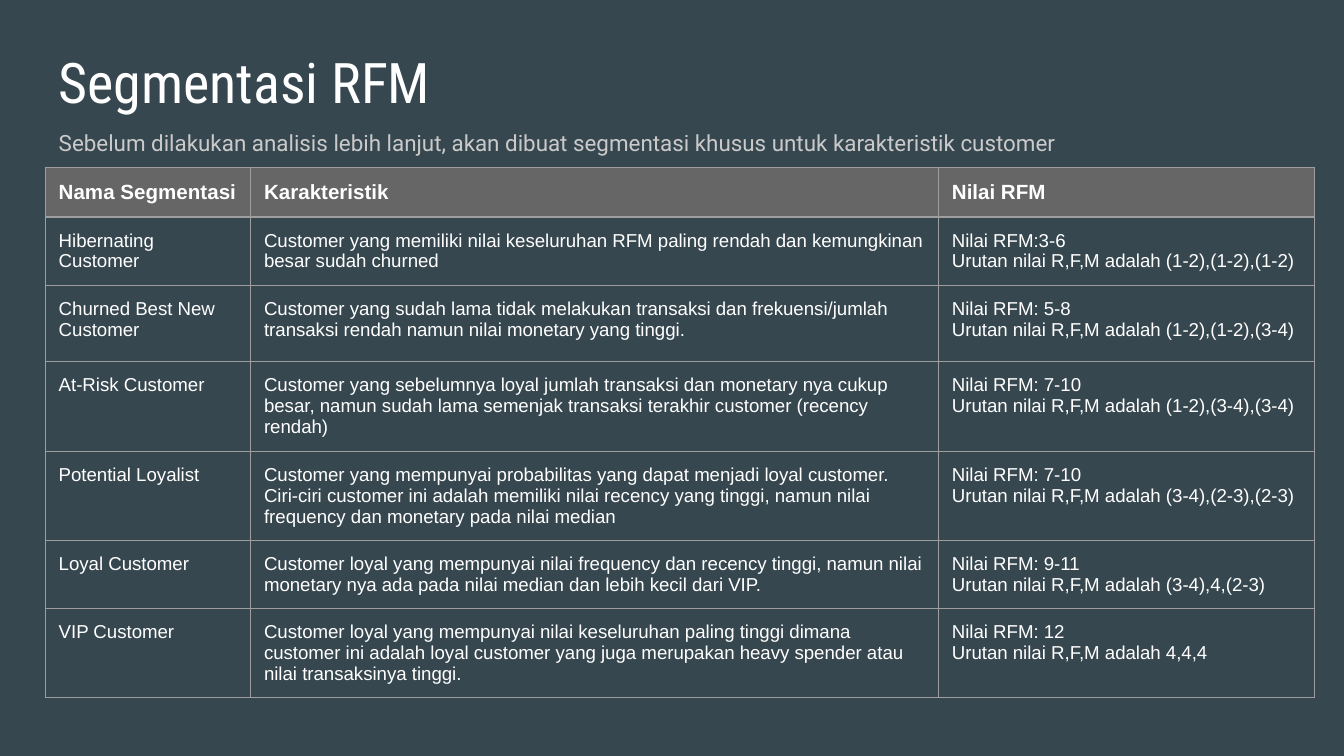
from dataclasses import dataclass

import pptx
import pptx.dml.color
import pptx.enum.text
import pptx.oxml
import pptx.oxml.ns
import pptx.util
from pptx.util import Cm


@dataclass(frozen=True)
class Theme:
    background: str = "37474F"
    text: str = "FFFFFF"
    subtitle: str = "CACACA"
    header_fill: str = "666666"
    border: str = "9E9E9E"
    title_size: int = 30
    subtitle_size: int = 12
    header_size: int = 11
    cell_size: int = 10
    border_width: float = 0.75


theme = Theme()
inset = Cm(0.25)

column_widths = [3.88, 13, 7.1]
row_heights = [0.79, 1.09, 1.44, 1.7, 1.09, 1.09, 1.09]
rows = [
    ("Nama Segmentasi", "Karakteristik", "Nilai RFM"),
    ("Hibernating Customer",
     "Customer yang memiliki nilai keseluruhan RFM paling rendah dan kemungkinan "
     "besar sudah churned",
     "Nilai RFM:3-6\nUrutan nilai R,F,M adalah (1-2),(1-2),(1-2)"),
    ("Churned Best New Customer",
     "Customer yang sudah lama tidak melakukan transaksi dan frekuensi/jumlah "
     "transaksi rendah namun nilai monetary yang tinggi.",
     "Nilai RFM: 5-8\nUrutan nilai R,F,M adalah (1-2),(1-2),(3-4)"),
    ("At-Risk Customer",
     "Customer yang sebelumnya loyal jumlah transaksi dan monetary nya cukup "
     "besar, namun sudah lama semenjak transaksi terakhir customer (recency rendah)",
     "Nilai RFM: 7-10\nUrutan nilai R,F,M adalah (1-2),(3-4),(3-4)"),
    ("Potential Loyalist",
     "Customer yang mempunyai probabilitas yang dapat menjadi loyal customer. "
     "Ciri-ciri customer ini adalah memiliki nilai recency yang tinggi, namun nilai "
     "frequency dan monetary pada nilai median",
     "Nilai RFM: 7-10\nUrutan nilai R,F,M adalah (3-4),(2-3),(2-3)"),
    ("Loyal Customer",
     "Customer loyal yang mempunyai nilai frequency dan recency tinggi, namun nilai "
     "monetary nya ada pada nilai median dan lebih kecil dari VIP.",
     "Nilai RFM: 9-11\nUrutan nilai R,F,M adalah (3-4),4,(2-3)"),
    ("VIP Customer",
     "Customer loyal yang mempunyai nilai keseluruhan paling tinggi dimana "
     "customer ini adalah loyal customer yang juga merupakan heavy spender atau "
     "nilai transaksinya tinggi.",
     "Nilai RFM: 12\nUrutan nilai R,F,M adalah 4,4,4"),
]


def write_text(text_frame, text, font_name, size, color, bold=False):
    """Fill a text frame, one paragraph per line, all in one format."""
    text_frame.text = text
    for paragraph in text_frame.paragraphs:
        paragraph.alignment = pptx.enum.text.PP_ALIGN.LEFT
        paragraph.space_before = pptx.util.Pt(0)
        paragraph.font.name = font_name
        paragraph.font.size = pptx.util.Pt(size)
        paragraph.font.bold = bold
        paragraph.font.color.rgb = pptx.dml.color.RGBColor.from_string(color)


def add_borders(cell):
    properties = cell._tc.get_or_add_tcPr()
    width = pptx.util.Pt(theme.border_width)
    for side in ("lnL", "lnR", "lnT", "lnB"):
        properties.append(pptx.oxml.parse_xml(
            f'<a:{side} {pptx.oxml.ns.nsdecls("a")} w="{width}"><a:solidFill>'
            f'<a:srgbClr val="{theme.border}"/></a:solidFill></a:{side}>'))


presentation = pptx.Presentation()
presentation.slide_width = Cm(25.4)
presentation.slide_height = Cm(14.29)
slide = presentation.slides.add_slide(presentation.slide_layouts[1])
slide.background.fill.solid()
slide.background.fill.fore_color.rgb = pptx.dml.color.RGBColor.from_string(theme.background)

# Title and subtitle
title, subtitle = slide.placeholders
for shape, top, height in ((title, 0.64, 1.6), (subtitle, 2.11, 0.89)):
    shape.left, shape.top, shape.width, shape.height = Cm(0.86), Cm(top), Cm(23.67), Cm(height)
    frame = shape.text_frame
    frame.margin_left = frame.margin_right = frame.margin_top = frame.margin_bottom = inset
    frame.vertical_anchor = pptx.enum.text.MSO_ANCHOR.TOP
    frame.auto_size = pptx.enum.text.MSO_AUTO_SIZE.NONE
    frame.word_wrap = True

write_text(title.text_frame, "Segmentasi RFM", "Roboto Condensed", theme.title_size, theme.text)
write_text(subtitle.text_frame,
           "Sebelum dilakukan analisis lebih lanjut, akan dibuat segmentasi khusus "
           "untuk karakteristik customer",
           "Roboto", theme.subtitle_size, theme.subtitle)
subtitle_paragraph = subtitle.text_frame.paragraphs[0]
subtitle_paragraph.line_spacing = 1.15
paragraph_properties = subtitle_paragraph._p.get_or_add_pPr()
paragraph_properties.set("marL", "0")
paragraph_properties.set("indent", "0")
paragraph_properties.insert_element_before(
    pptx.oxml.parse_xml(f'<a:buNone {pptx.oxml.ns.nsdecls("a")}/>'),
    "a:tabLst", "a:defRPr", "a:extLst")

# Segment table
table = slide.shapes.add_table(
    len(rows), len(column_widths), Cm(0.86), Cm(3.17),
    Cm(sum(column_widths)), Cm(sum(row_heights))).table
table.first_row = table.horz_banding = False
for column, width in zip(table.columns, column_widths):
    column.width = Cm(width)

for row_index, (row, height, texts) in enumerate(zip(table.rows, row_heights, rows)):
    row.height = Cm(height)
    is_header = row_index == 0
    for cell, text in zip(row.cells, texts):
        cell.margin_left = cell.margin_right = cell.margin_top = cell.margin_bottom = inset
        add_borders(cell)
        if is_header:
            cell.fill.solid()
            cell.fill.fore_color.rgb = pptx.dml.color.RGBColor.from_string(theme.header_fill)
        else:
            cell.fill.background()
        write_text(cell.text_frame, text, "Arial",
                   theme.header_size if is_header else theme.cell_size,
                   theme.text, bold=is_header)

presentation.save("out.pptx")
